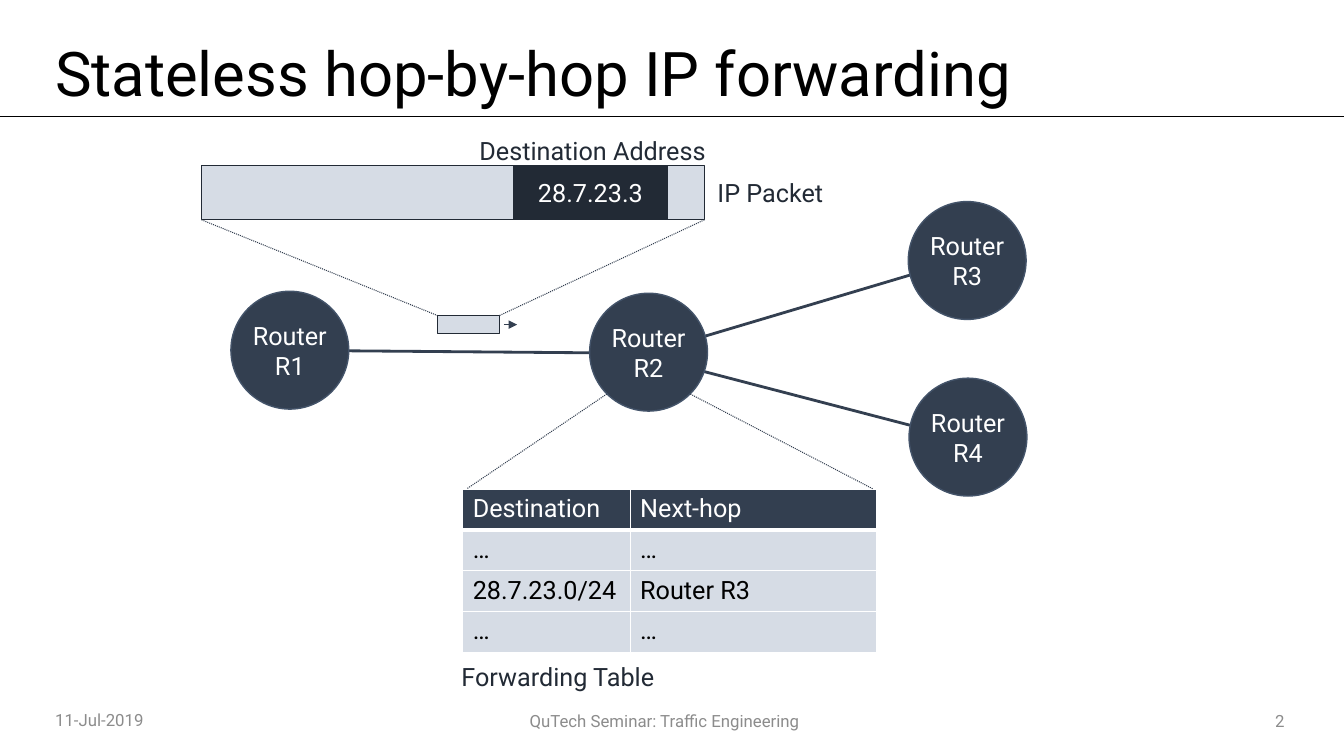
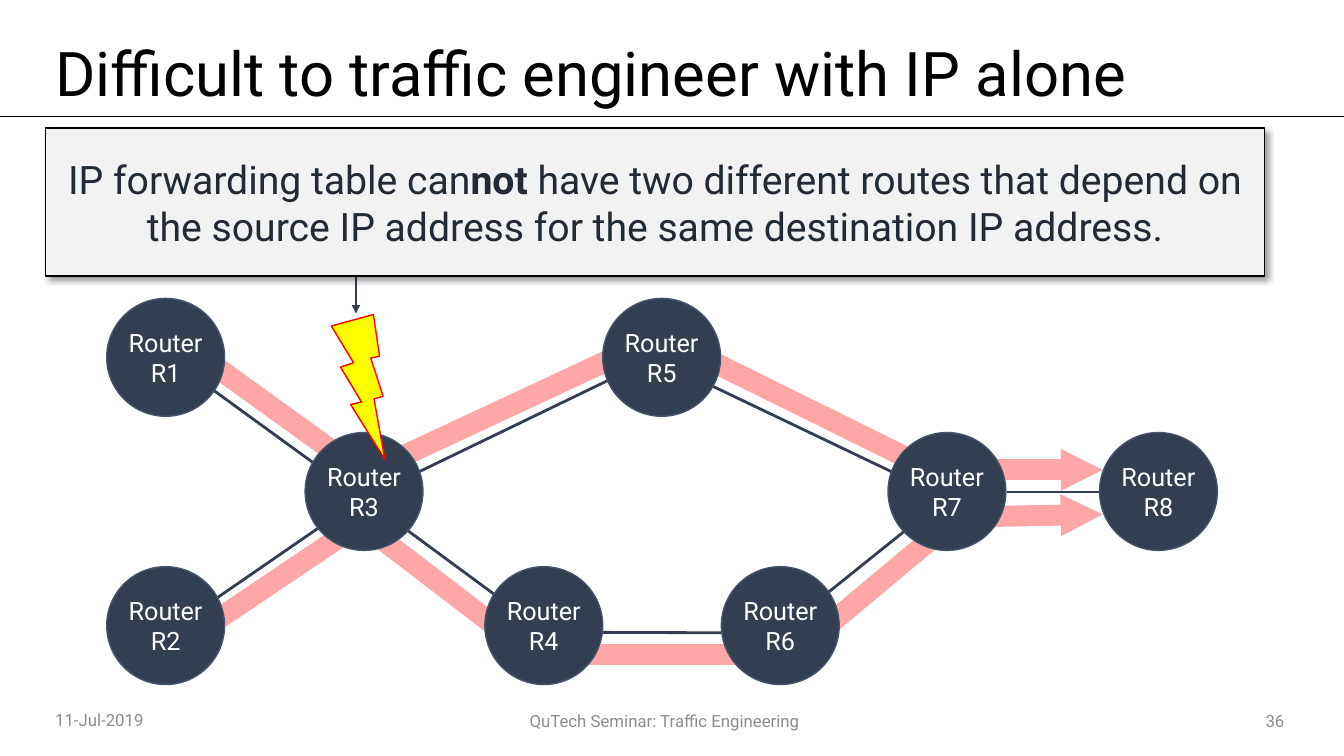
from itertools import pairwise

from lxml import etree
from pptx import Presentation
from pptx import util as u
from pptx.dml.color import RGBColor
from pptx.enum import dml, shapes, text
from pptx.oxml import ns

FONT = "Roboto"
BLACK = RGBColor(0x00, 0x00, 0x00)
WHITE = RGBColor(0xFF, 0xFF, 0xFF)
NAVY = RGBColor(0x33, 0x3F, 0x50)
SLATE = RGBColor(0x44, 0x54, 0x6A)
INK = RGBColor(0x22, 0x2A, 0x35)
PALE = RGBColor(0xD6, 0xDC, 0xE5)
GREY = RGBColor(0x8C, 0x8C, 0x8C)
PINK = RGBColor(0xFF, 0xA6, 0xA6)
LIGHT = RGBColor(0xF2, 0xF2, 0xF2)
GOLD = RGBColor(0xFF, 0xFF, 0x00)
RED = RGBColor(0xFF, 0x00, 0x00)

LEFT, MID, RIGHT = text.PP_ALIGN.LEFT, text.PP_ALIGN.CENTER, text.PP_ALIGN.RIGHT
KIND = shapes.MSO_SHAPE
WIDE, HIGH = 33.87, 19.05
ROUND = 2.97


def node(parent, tag, **attrs):
    return etree.SubElement(parent, ns.qn(tag), attrs)


def write(frame, lines, size, color, align=MID):
    frame.word_wrap = True
    frame.vertical_anchor = text.MSO_ANCHOR.MIDDLE
    for i, line in enumerate(lines):
        para = frame.paragraphs[0] if i == 0 else frame.add_paragraph()
        para.alignment = align
        for words, bold in line:
            run = para.add_run()
            run.text = words
            font = run.font
            font.name, font.size, font.bold = FONT, u.Pt(size), bold
            font.color.rgb = color


def label(slide, box, words, size, color, align=MID):
    area = slide.shapes.add_textbox(*map(u.Cm, box))
    write(area.text_frame, [[(words, False)]], size, color, align)
    return area


def block(slide, box, fill, edge, kind=KIND.RECTANGLE):
    shape = slide.shapes.add_shape(kind, *map(u.Cm, box))
    shape.shadow.inherit = False
    shape.fill.solid()
    shape.fill.fore_color.rgb = fill
    shape.line.color.rgb = edge
    shape.line.width = u.Pt(1)
    return shape


def stroke(slide, start, end, width=2, color=NAVY, dots=False, head=None, cap="flat"):
    line = slide.shapes.add_connector(
        shapes.MSO_CONNECTOR.STRAIGHT, *map(u.Cm, (*start, *end)))
    line.line.color.rgb = color
    line.line.width = u.Pt(width)
    if dots:
        line.line.dash_style = dml.MSO_LINE.ROUND_DOT
    edge = line.get_or_add_ln()
    edge.set("cap", cap)
    if head:
        node(edge, "a:tailEnd", type="triangle", w=head, len=head)
    node(line._element.spPr, "a:effectLst")


def shift(box, dots):
    return [(box[0] + x, box[1] + y) for x, y in dots]


def frame(deck, title, number):
    slide = deck.slides.add_slide(deck.slide_layouts[6])
    stroke(slide, (0, 2.92), (WIDE, 2.92), 0.5, BLACK)
    head = label(slide, (1.14, 0.91, 31.47, 2.06), title, 44, BLACK, LEFT)
    head.text_frame.paragraphs[0].line_spacing = 0.9
    label(slide, (4.9, 17.65, 23.7, 1.02), "QuTech Seminar: Traffic Engineering", 12, GREY)
    label(slide, (28.96, 17.65, 3.66, 1.02), number, 12, GREY, RIGHT)
    label(slide, (1.14, 17.63, 3.48, 1.02), "11-Jul-2019", 12, GREY, LEFT)
    return slide


def flow(slide, box, dots):
    legs = list(pairwise(shift(box, dots)))
    for leg in legs:
        stroke(slide, *leg, 15, PINK, head="sm" if leg is legs[-1] else None, cap="rnd")


def network(slide, box, links, routers, flows=()):
    for link in links:
        stroke(slide, *shift(box, link))
    for dots in flows:
        flow(slide, box, dots)
    for name, spot in routers.items():
        x, y = shift(box, [spot])[0]
        disc = block(slide, (x, y, ROUND, ROUND), NAVY, SLATE, KIND.OVAL)
        area = disc.text_frame
        area.margin_left = area.margin_right = area.margin_top = area.margin_bottom = 0
        write(area, [[("Router", False)], [(name, False)]], 18, WHITE)


def packet(slide, box):
    x, y, w, h = box
    block(slide, box, PALE, INK)
    dest = block(slide, (x + 7.87, y, 3.86, h), INK, INK)
    write(dest.text_frame, [[("28.7.23.3", False)]], 18, WHITE)
    label(slide, (x + 6.35, y - 1.05, 7.01, 1.35), "Destination Address", 18, INK)
    label(slide, (x + w, y, 3.33, 1.35), "IP Packet", 18, INK)
    left, top, wide, high = x + 5.94, y + 3.78, 1.57, 0.46
    block(slide, (left, top, wide, high), PALE, INK)
    stroke(slide, (x, y + h), (left, top), 0.75, dots=True)
    stroke(slide, (x + w, y + h), (left + wide, top), 0.75, dots=True)
    mid = top + high / 2
    stroke(slide, (left + wide + 0.11, mid), (left + wide + 0.44, mid), 1.25, head="med")


def border(cell, sides):
    props = cell._tc.get_or_add_tcPr()
    for side, width in sides.items():
        edge = node(props, "a:ln" + side, w=str(u.Pt(width)))
        node(node(edge, "a:solidFill"), "a:srgbClr", val=str(WHITE))


def routes(slide, box, rows):
    x, y, w, h = box
    grid = slide.shapes.add_table(len(rows), 2, *map(u.Cm, box)).table
    grid.first_row = grid.horz_banding = False
    for col, wide in zip(grid.columns, (4.22, w - 4.22)):
        col.width = u.Cm(wide)
    for i, row in enumerate(rows):
        grid.rows[i].height = u.Cm(h / len(rows))
        for j, words in enumerate(row):
            cell = grid.cell(i, j)
            border(cell, {"L": 1, "R": 1, "T": 3 if i == 1 else 1, "B": 3 if i == 0 else 1})
            cell.fill.solid()
            cell.fill.fore_color.rgb = PALE if i else NAVY
            write(cell.text_frame, [[(words, False)]], 18, BLACK if i else WHITE, LEFT)
    for ray in [((3.63, -2.39), (0.1, 0)), ((5.74, -2.39), (10.34, 0))]:
        stroke(slide, *shift(box, ray), 0.75, dots=True)
    label(slide, (x - 0.28, y + h - 0.06, 7.01, 1.35), "Forwarding Table", 18, INK, LEFT)


def bolt(slide, box):
    flash = block(slide, box, GOLD, RED, KIND.LIGHTNING_BOLT)
    flash.rotation = 18.3


def callout(slide, box, spans):
    stroke(slide, *shift(box, [(7.83, 3.56), (7.83, 4.67)]), head="med")
    panel = block(slide, box, LIGHT, BLACK)
    glow = panel._element.spPr.find(ns.qn("a:effectLst"))
    shade = node(glow, "a:outerShdw", blurRad=str(u.Pt(4)), dist=str(u.Pt(3)),
                 dir="2700000", algn="tl", rotWithShape="0")
    node(node(shade, "a:srgbClr", val=str(BLACK)), "a:alpha", val="40000")
    write(panel.text_frame, [spans], 28, INK)


def hops(deck):
    slide = frame(deck, "Stateless hop-by-hop IP forwarding", "2")
    network(
        slide, (5.82, 5.08),
        [((18.59, 6.02), (10.61, 3.94)),
         ((18.56, 1.42), (10.54, 3.81)),
         ((2.97, 3.76), (9.04, 3.81))],
        {"R1": (0, 2.26), "R2": (9.04, 2.31), "R3": (17.07, 0), "R4": (17.09, 4.45)})
    packet(slide, (5.08, 4.17, 12.67, 1.37))
    routes(slide, (11.66, 12.32, 10.44, 4.12), [
        ("Destination", "Next-hop"),
        ("…", "…"),
        ("28.7.23.0/24", "Router R3"),
        ("…", "…")])


def detour(deck):
    slide = frame(deck, "Difficult to traffic engineer with IP alone", "36")
    top, mid, low = (3.38 * i for i in range(3))
    network(
        slide, (2.69, 7.52),
        [((1.57, 1.5), (6.43, 5.03)),
         ((1.57, 8.38), (6.43, 5.03)),
         ((6.5, 5.03), (13.97, 1.42)),
         ((6.5, 5.05), (11.02, 8.38)),
         ((16.97, 8.43), (11.07, 8.41)),
         ((16.97, 8.38), (21.18, 5)),
         ((14.05, 1.63), (21.21, 5.05)),
         ((25.02, 4.88), (22.68, 4.88))],
        {"R1": (0, top), "R3": (5, mid), "R5": (12.5, top), "R4": (9.53, low),
         "R2": (0, low), "R6": (15.49, low), "R7": (19.69, mid), "R8": (25.02, mid)},
        [[(2.69, 1.68), (5.99, 4.06), (7.21, 4.09), (12.98, 1.4),
          (14.91, 1.42), (20.78, 4.32), (25.1, 4.32)],
         [(2.21, 8.48), (6.4, 5.66), (10.72, 8.97), (17.3, 8.97),
          (21.44, 5.51), (25.1, 5.44)]])
    bolt(slide, (7.95, 7.92, 2.34, 3.38))
    callout(slide, (1.14, 3.23, 30.73, 3.73), [
        ("IP forwarding table can", False),
        ("not ", True),
        ("have two different routes that depend on the source IP address "
         "for the same destination IP address.", False)])


def main():
    deck = Presentation()
    deck.slide_width, deck.slide_height = u.Cm(WIDE), u.Cm(HIGH)
    hops(deck)
    detour(deck)
    deck.save("out.pptx")


if __name__ == "__main__":
    main()
